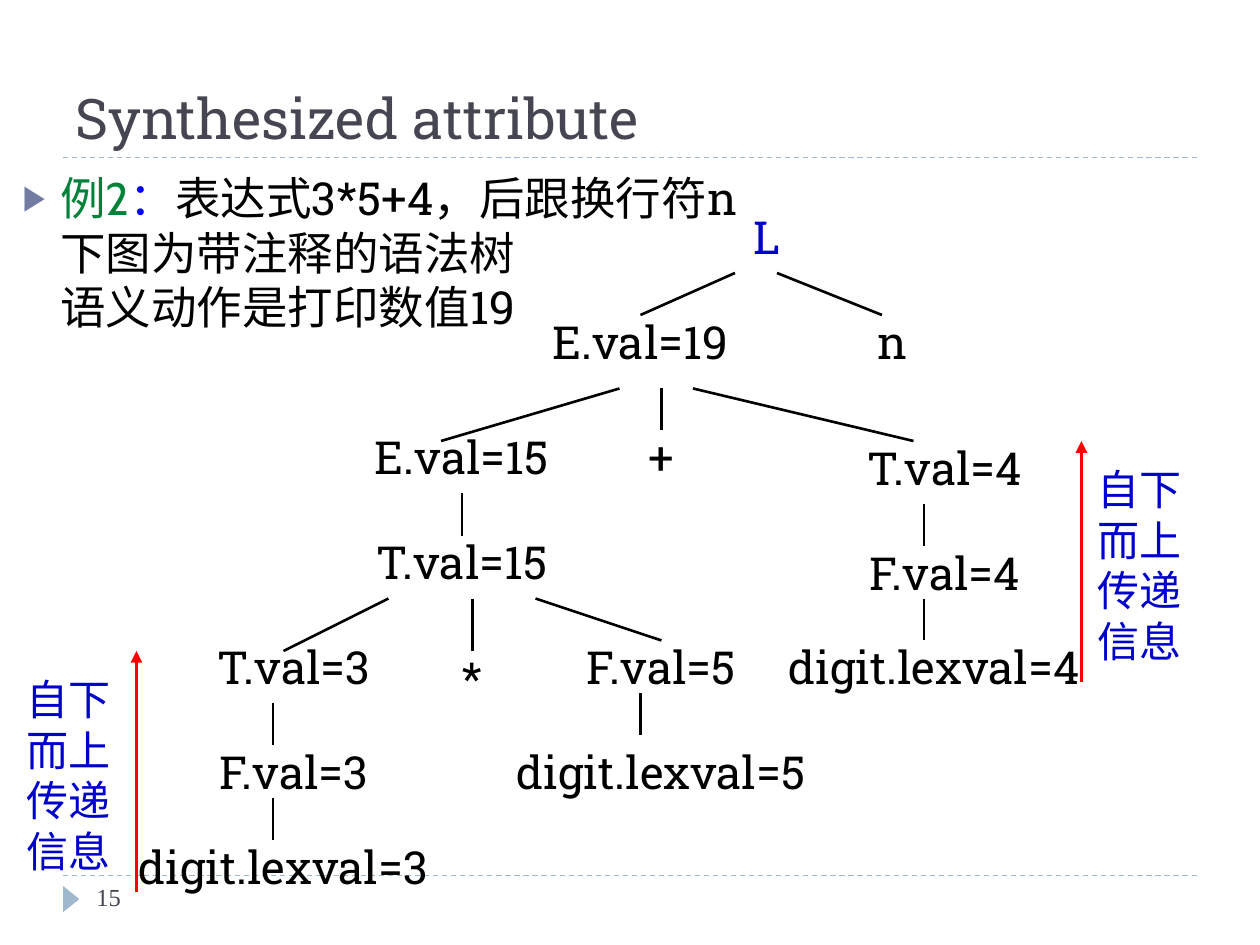
from lxml import etree
from pptx import Presentation
from pptx.dml.color import RGBColor
from pptx.enum.dml import MSO_LINE
from pptx.enum.shapes import MSO_CONNECTOR, MSO_SHAPE
from pptx.enum.text import MSO_ANCHOR, MSO_AUTO_SIZE, PP_ALIGN
from pptx.oxml.ns import qn
from pptx.util import Cm, Pt

LEFT, MID = PP_ALIGN.LEFT, PP_ALIGN.CENTER
TOP, CORE, LOW = MSO_ANCHOR.TOP, MSO_ANCHOR.MIDDLE, MSO_ANCHOR.BOTTOM
DASH, LINE, TRI = MSO_LINE.DASH, MSO_CONNECTOR.STRAIGHT, MSO_SHAPE.ISOSCELES_TRIANGLE

THEME = {
    "slab": "Roboto Slab", "sans": "Cabin", "serif": "Times New Roman",
    "ink": "000000", "grey": "464653", "green": "00823B", "blue": "0000FF",
    "navy": "0000CC", "red": "FF0000", "pale": "9FB8CD", "mark": "727CA3",
    "head": 32, "main": 26, "note": 24, "page": 14,
}

# Content: positions are in grid steps of a twelfth of an inch
TITLE = "Synthesized attribute"
BODY = [
    ("例2", "sans", "green"),
    ("：", "sans", "blue"),
    ("表达式3*5+4，后跟换行符n\n下图为带注释的语法树\n语义动作是打印数值19", "slab", "ink"),
]
PAGE = "15"
NOTE = "自下而上传递信息"
WIDE, SLIM, TALL = 30, 12, 7
NODES = [  # text, left, top, width
    ("L", 67, 19, SLIM),
    ("E.val=19", 46, 29, WIDE), ("n", 79, 29, SLIM),
    ("E.val=15", 29, 40, WIDE), ("+", 57, 40, SLIM), ("T.val=4", 75, 41, WIDE),
    ("T.val=15", 29, 50, WIDE), ("F.val=4", 75, 51, WIDE),
    ("T.val=3", 13, 60, WIDE), ("*", 39, 61, SLIM),
    ("F.val=5", 48, 60, WIDE), ("digit.lexval=4", 74, 60, WIDE),
    ("F.val=3", 13, 70, WIDE), ("digit.lexval=5", 48, 70, WIDE),
    ("digit.lexval=3", 12, 79, WIDE),
]
EDGES = [  # start x, y, end x, y
    (70, 26, 61, 30), (74, 26, 84, 30),
    (59, 37, 42, 42), (63, 37, 63, 41), (66, 37, 87, 42),
    (44, 47, 44, 51), (88, 48, 88, 52), (88, 57, 88, 61),
    (37, 57, 27, 62), (45, 57, 45, 62), (51, 57, 63, 61),
    (61, 66, 61, 70), (26, 67, 26, 71), (26, 76, 26, 80),
]
FLOWS = [(13, 85, 1), (103, 65, 103)]  # arrow x, arrow foot, note left
RISE = 23
RULES = [15, 83.4]


def grid(*steps):
    return [Cm(n * 2.54 / 12) for n in steps]


def tint(name):
    return RGBColor.from_string(THEME[name])


def write(box, text, size="main", font="slab", color="ink", align=LEFT,
          anchor=TOP, wrap=True):
    """Fill a box with one text, or with a list of (text, font, color)."""
    frame = box.text_frame
    frame.auto_size = MSO_AUTO_SIZE.NONE
    frame.word_wrap, frame.vertical_anchor = wrap, anchor
    para = frame.paragraphs[0]
    para.alignment = align
    parts = [(text, font, color)] if isinstance(text, str) else text
    for words, face, hue in parts:
        for i, row in enumerate(words.split("\n")):
            if i:
                para.add_line_break()
            run = para.add_run()
            run.text = row
            run.font.name, run.font.size = THEME[face], Pt(THEME[size])
            run.font.color.rgb = tint(hue)
    return para


def place(shape, *spot):
    shape.left, shape.top, shape.width, shape.height = spot
    return shape


def draw(slide, ends, color="ink", width=1.5, dash=None, arrow=False):
    line = slide.shapes.add_connector(LINE, *grid(*ends))
    line.line.color.rgb, line.line.width = tint(color), Pt(width)
    if dash:
        line.line.dash_style = dash
    if arrow:
        etree.SubElement(line.line._get_or_add_ln(), qn("a:tailEnd"), type="triangle")
    etree.SubElement(line._element.spPr, qn("a:effectLst"))


def bullet(para):
    props = para._p.get_or_add_pPr()
    props.set("marL", str(Cm(0.76)))
    props.set("indent", str(Cm(-0.76)))
    hue = etree.SubElement(props, qn("a:buClr"))
    etree.SubElement(hue, qn("a:srgbClr"), val=THEME["mark"])
    etree.SubElement(props, qn("a:buSzPct"), val="76000")
    etree.SubElement(props, qn("a:buChar"), char="▶")


def main():
    deck = Presentation()
    deck.slide_width, deck.slide_height = Cm(25.4), Cm(19.05)
    slide = deck.slides.add_slide(deck.slide_layouts[1])
    shapes = slide.shapes

    # Rules and page mark
    for y in RULES:
        draw(slide, (6, y, 114, y), "pale", 0.75, DASH)
    mark = shapes.add_shape(TRI, Cm(1.17), Cm(17.96), Cm(0.53), Cm(0.33))
    mark.rotation = 90
    mark.shadow.inherit = False
    mark.fill.solid()
    mark.fill.fore_color.rgb = tint("pale")
    mark.line.fill.background()

    # Title, body and page number
    head = place(shapes.title, *grid(6, 2, 108, 13))
    write(head, TITLE, size="head", color="grey", anchor=LOW)
    body = place(slide.placeholders[1], Cm(0.2), Cm(3.3), Cm(22.86), Cm(2.95))
    para = write(body, BODY)
    para.space_before = Pt(6)
    bullet(para)
    page = shapes.add_textbox(*grid(8, 83.4, 26, 4.8))
    write(page, PAGE, size="page", font="serif", color="grey")

    # Syntax tree
    for ends in EDGES:
        draw(slide, ends)
    for text, x, y, width in NODES:
        box = shapes.add_textbox(*grid(x, y, width, TALL))
        write(box, text, color="navy" if text == "L" else "ink",
              align=MID, anchor=CORE, wrap=False)

    # Upward flow arrows with notes
    for x, foot, left in FLOWS:
        draw(slide, (x, foot, x, foot - RISE), "red", 2.25, arrow=True)
        box = shapes.add_textbox(*grid(left, foot - 21.4, 11, 20.6))
        write(box, NOTE, size="note", color="navy", align=MID)

    deck.save("out.pptx")


if __name__ == "__main__":
    main()
